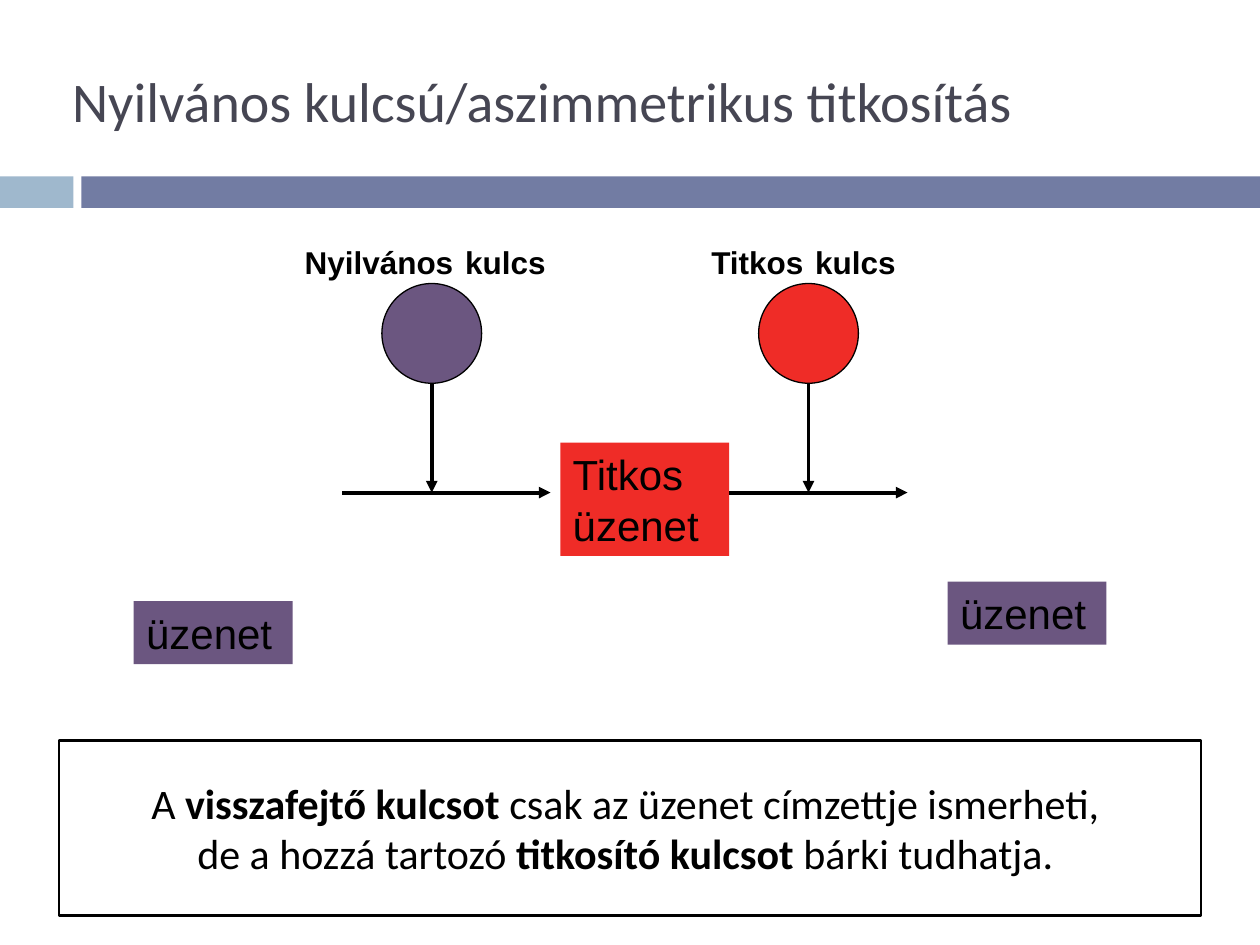
from lxml import etree
from pptx import Presentation
from pptx.dml.color import RGBColor
from pptx.enum import shapes, text
from pptx.oxml import ns
from pptx.util import Pt

COLORS = {
    "black": "000000", "white": "FFFFFF", "title": "464653",
    "pale": "9FB8CD", "slate": "727CA3", "public": "6B5680", "secret": "EF2C27",
}
RECT = shapes.MSO_SHAPE.RECTANGLE
OVAL = shapes.MSO_SHAPE.OVAL
TOP = text.MSO_ANCHOR.TOP
MIDDLE = text.MSO_ANCHOR.MIDDLE
LEFT = text.PP_ALIGN.LEFT
CENTER = text.PP_ALIGN.CENTER


def color(name):
    return RGBColor.from_string(COLORS[name])


def write(shape, lines, font="Arial", ink="black", anchor=TOP, align=LEFT, wrap=True):
    frame = shape.text_frame
    frame.word_wrap = wrap
    frame.vertical_anchor = anchor
    for i, runs in enumerate(lines):
        para = frame.add_paragraph() if i else frame.paragraphs[0]
        para.alignment = align
        para.space_before = Pt(0)
        for words, size, bold in runs:
            run = para.add_run()
            run.text = words
            run.font.name = font
            run.font.size = Pt(size)
            run.font.bold = bold
            run.font.color.rgb = color(ink)


def add_title(slide, words):
    title = slide.shapes.title
    title.left, title.top, title.width, title.height = Pt(34), Pt(18), Pt(656), Pt(78)
    write(title, [[(words, 32, False)]], "Calibri", "title", MIDDLE)


def add_block(slide, kind, box, fill, line=0):
    shape = slide.shapes.add_shape(kind, *map(Pt, box))
    shape.shadow.inherit = False
    shape.fill.solid()
    shape.fill.fore_color.rgb = color(fill)
    if line:
        shape.line.color.rgb = color("black")
        shape.line.width = Pt(line)
    else:
        shape.line.fill.background()
    return shape


def add_message(slide, words, box, fill, anchor=TOP):
    shape = add_block(slide, RECT, box, fill)
    write(shape, [[(words, 24, False)]], anchor=anchor)


def add_arrow(slide, *ends):
    line = slide.shapes.add_connector(shapes.MSO_CONNECTOR.STRAIGHT, *map(Pt, ends))
    line.line.color.rgb = color("black")
    line.line.width = Pt(2.25)
    tip = etree.SubElement(line.line._get_or_add_ln(), ns.qn("a:tailEnd"))
    tip.set("type", "triangle")
    etree.SubElement(line._element.spPr, ns.qn("a:effectLst"))


def add_key(slide, owner, mid, fill, left, width):
    size, top, flow = 57, 162, 281.5
    add_block(slide, OVAL, (mid - size / 2, top, size, size), fill, 0.75)
    label = slide.shapes.add_textbox(Pt(left), Pt(129.6), Pt(width), Pt(36))
    write(label, [[(owner, 18, True), (" ", 24, True), ("kulcs", 18, True)]])
    add_arrow(slide, mid, top + size, mid, flow)


def main():
    deck = Presentation()
    deck.slide_width, deck.slide_height = Pt(720), Pt(540)
    slide = deck.slides.add_slide(deck.slide_layouts[5])
    add_block(slide, RECT, (0, 100.8, 42, 18), "pale")
    add_block(slide, RECT, (46.5, 100.8, 673.5, 18), "slate")
    add_title(slide, "Nyilvános kulcsú/aszimmetrikus titkosítás")

    add_message(slide, "Titkos üzenet", (320.2, 252.9, 96.5, 64.8), "secret", MIDDLE)
    for start, end in ((195.6, 314.6), (416.8, 518.6)):
        add_arrow(slide, start, 281.5, end, 281.5)
    add_key(slide, "Nyilvános", 246.7, "public", 167, 164)
    add_key(slide, "Titkos", 462, "secret", 399.4, 130.5)
    for left, top in ((76.4, 343.6), (541.5, 332.4)):
        add_message(slide, "üzenet", (left, top, 90.8, 36), "public")

    note = add_block(slide, RECT, (33.8, 423, 652.5, 100), "white", 1.5)
    write(note, [
        [("A ", 24, False), ("visszafejtő kulcsot ", 24, True),
         ("csak az üzenet címzettje ismerheti, ", 24, False)],
        [("de a hozzá tartozó ", 24, False), ("titkosító kulcsot ", 24, True),
         ("bárki tudhatja. ", 24, False)],
    ], "Calibri", anchor=MIDDLE, align=CENTER, wrap=False)
    deck.save("out.pptx")


if __name__ == "__main__":
    main()
